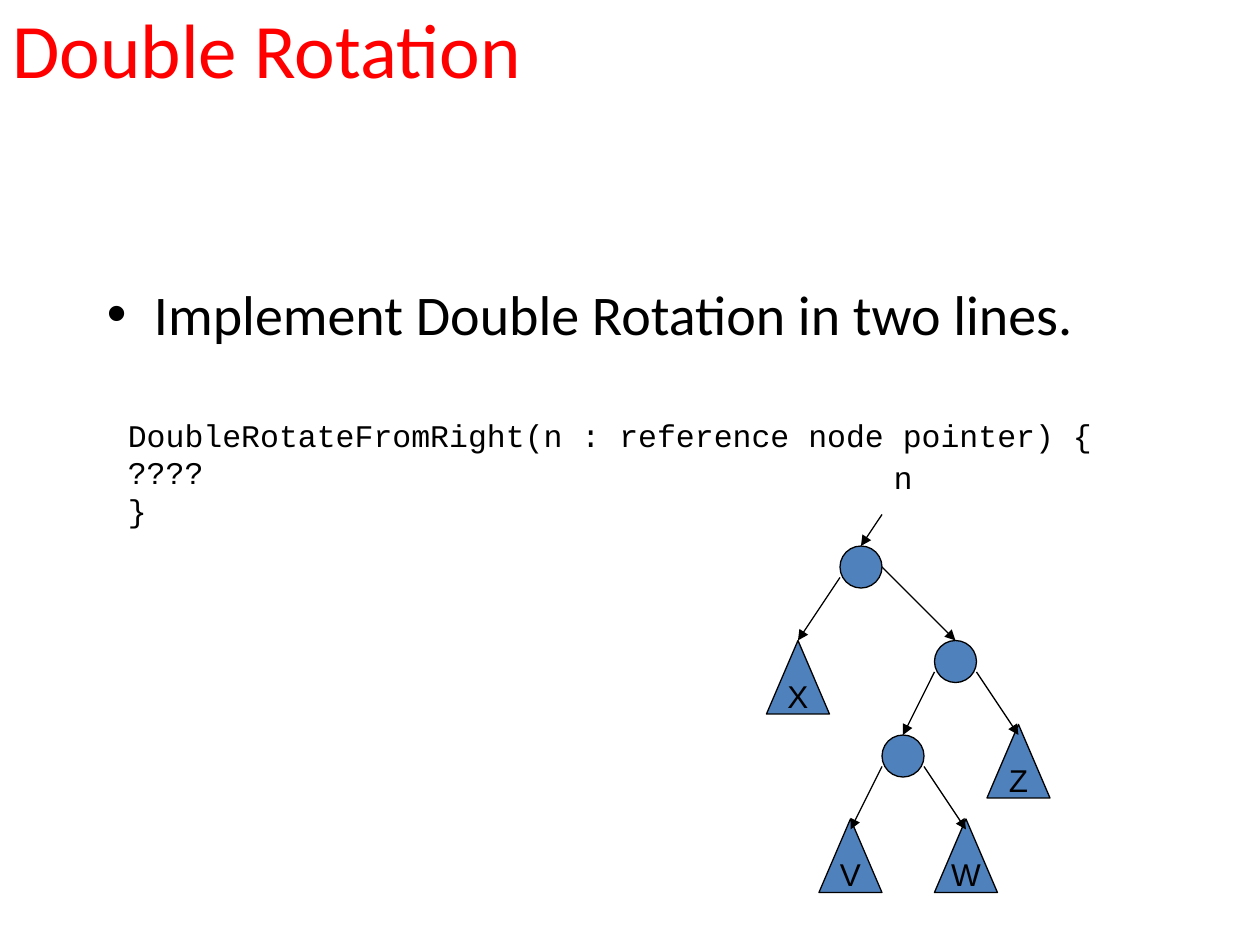
"""Build the slide on double rotation with its search tree."""
from dataclasses import dataclass

from lxml.etree import SubElement
from pptx import Presentation
from pptx.dml.color import RGBColor
from pptx.enum.shapes import MSO_CONNECTOR, MSO_SHAPE
from pptx.enum.text import MSO_ANCHOR, MSO_AUTO_SIZE, PP_ALIGN
from pptx.oxml.ns import qn
from pptx.util import Cm, Pt

RED = RGBColor(0xFF, 0x00, 0x00)
BLACK = RGBColor(0x00, 0x00, 0x00)
BLUE = RGBColor(0x4F, 0x81, 0xBD)
GRID_STEP = 2.54 / 12


@dataclass(frozen=True)
class Vertex:
    """A tree node, or a subtree when it has a label, at a grid position."""
    left: int
    top: int
    label: str = ""


@dataclass(frozen=True)
class Link:
    """An arrow between two grid points."""
    x1: int
    y1: int
    x2: int
    y2: int


VERTICES = (
    Vertex(80, 52), Vertex(89, 61), Vertex(84, 70),
    Vertex(73, 61, "X"), Vertex(94, 69, "Z"),
    Vertex(78, 78, "V"), Vertex(89, 78, "W"),
)
LINKS = (
    Link(84, 49, 82, 52),
    Link(80, 55, 76, 61), Link(84, 54, 91, 61),
    Link(89, 64, 86, 70), Link(93, 64, 97, 70),
    Link(84, 73, 81, 79), Link(88, 73, 92, 79),
)


def grid(*steps: float) -> list[Cm]:
    """Turn grid steps into lengths."""
    return [Cm(step * GRID_STEP) for step in steps]


def format_text(frame, font: str, size: int, color: RGBColor) -> None:
    """Give every run of a text frame the same font."""
    for para in frame.paragraphs:
        for span in para.runs:
            span.font.name = font
            span.font.size = Pt(size)
            span.font.color.rgb = color


def add_text(page, place: tuple, text: str, font: str, size: int, wrap: bool = False):
    """Add a text box at a grid place and return its frame."""
    frame = page.shapes.add_textbox(*grid(*place)).text_frame
    frame.word_wrap = wrap
    frame.auto_size = MSO_AUTO_SIZE.NONE if wrap else MSO_AUTO_SIZE.SHAPE_TO_FIT_TEXT
    frame.text = text
    format_text(frame, font, size, BLACK)
    return frame


def add_bullet(para) -> None:
    """Give a paragraph a round bullet with a hanging indent."""
    properties = para._p.get_or_add_pPr()
    properties.set("marL", str(Cm(0.95)))
    properties.set("indent", str(-Cm(0.95)))
    SubElement(properties, qn("a:buFont")).set("typeface", "Arial")
    SubElement(properties, qn("a:buChar")).set("char", "•")


def add_vertex(page, vertex: Vertex) -> None:
    """Draw a node as a circle and a subtree as a labelled triangle."""
    kind, size = (MSO_SHAPE.ISOSCELES_TRIANGLE, (6, 7)) if vertex.label else (MSO_SHAPE.OVAL, (4, 4))
    shape = page.shapes.add_shape(kind, *grid(vertex.left, vertex.top, *size))
    shape.shadow.inherit = False
    shape.fill.solid()
    shape.fill.fore_color.rgb = BLUE
    shape.line.color.rgb = BLACK
    shape.line.width = Pt(0.75)
    if vertex.label:
        frame = shape.text_frame
        frame.text = vertex.label
        frame.word_wrap = False
        frame.vertical_anchor = MSO_ANCHOR.MIDDLE
        frame.paragraphs[0].alignment = PP_ALIGN.CENTER
        format_text(frame, "Arial", 18, BLACK)


def add_link(page, link: Link) -> None:
    """Draw a thin arrow."""
    arrow = page.shapes.add_connector(
        MSO_CONNECTOR.STRAIGHT, *grid(link.x1, link.y1, link.x2, link.y2))
    arrow.line.color.rgb = BLACK
    arrow.line.width = Pt(0.75)
    SubElement(arrow.line._get_or_add_ln(), qn("a:tailEnd")).set("type", "triangle")
    SubElement(arrow._element.spPr, qn("a:effectLst"))


def main() -> None:
    """Build and save the deck."""
    deck = Presentation()
    deck.slide_width, deck.slide_height = Cm(25.4), Cm(19.05)
    page = deck.slides.add_slide(deck.slide_layouts[5])

    title = page.shapes.title
    title.left, title.top, title.width, title.height = grid(0, -3, 93, 15)
    title.text_frame.text = "Double Rotation"
    title.text_frame.vertical_anchor = MSO_ANCHOR.MIDDLE
    title.text_frame.paragraphs[0].alignment = PP_ALIGN.LEFT
    format_text(title.text_frame, "Calibri", 44, RED)

    task = add_text(page, (9, 26, 102, 9), "Implement Double Rotation in two lines.",
                    "Calibri", 32, wrap=True)
    task.paragraphs[0].space_before = Pt(6.4)
    add_bullet(task.paragraphs[0])

    add_text(page, (11, 39, 104.4, 13.2),
             "DoubleRotateFromRight(n : reference node pointer) {\n????\n}", "Courier New", 18)
    add_text(page, (84, 43, 4.3, 5.2), "n", "Arial", 18)

    for vertex in VERTICES:
        add_vertex(page, vertex)
    for link in LINKS:
        add_link(page, link)
    deck.save("out.pptx")


main()
